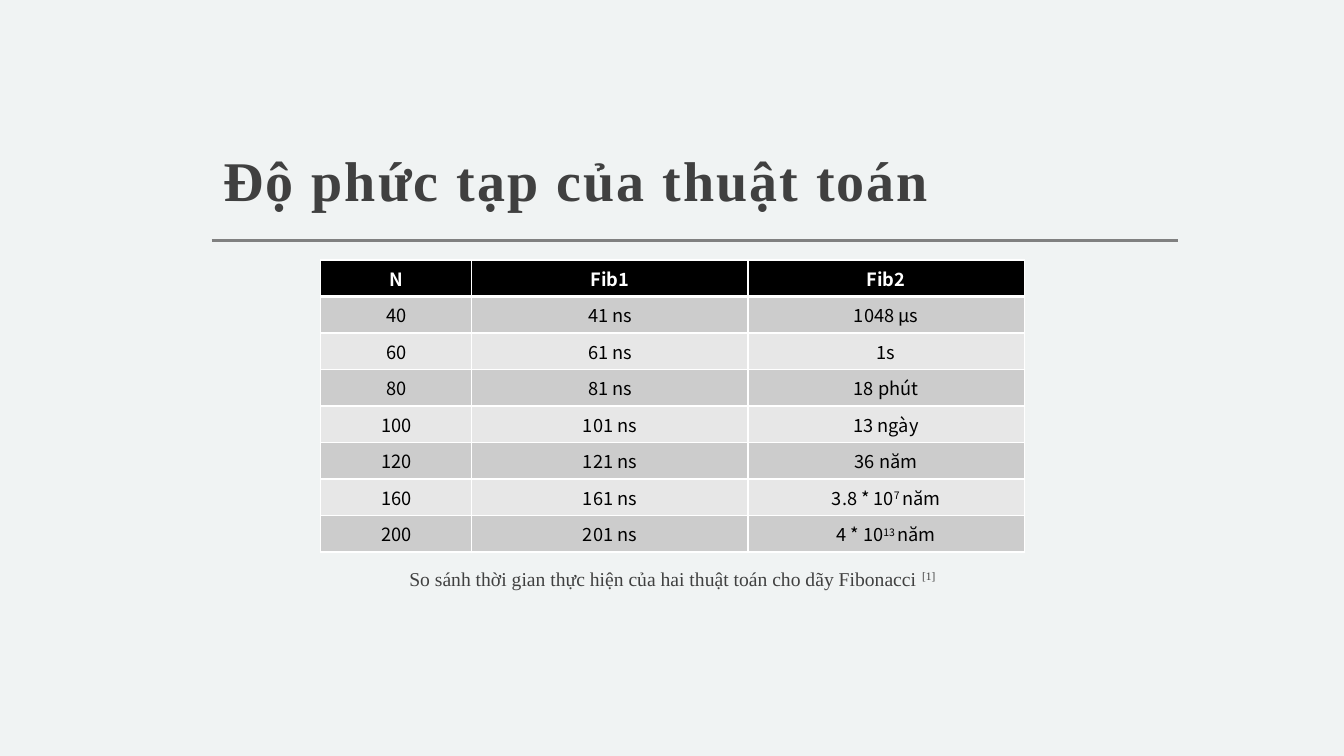
from lxml import etree
from pptx import Presentation, util as u
from pptx.dml.color import RGBColor
from pptx.enum import shapes, text
from pptx.oxml.ns import qn

BACK = RGBColor(0xF0, 0xF3, 0xF3)
INK = RGBColor(0x40, 0x40, 0x40)
RULE = RGBColor(0x80, 0x80, 0x80)
BLACK = RGBColor(0, 0, 0)
WHITE = RGBColor(0xFF, 0xFF, 0xFF)
DARK = RGBColor(0xCC, 0xCC, 0xCC)
LIGHT = RGBColor(0xE7, 0xE7, 0xE7)
SERIF, SANS = "Times New Roman", "Noto Sans CJK JP"
MID = text.PP_ALIGN.CENTER

# Each cell is a list of runs; every second run is raised
ROWS = [
    [["N"], ["Fib1"], ["Fib2"]],
    [["40"], ["41 ns"], ["1048 μs"]],
    [["60"], ["61 ns"], ["1s"]],
    [["80"], ["81 ns"], ["18 phút"]],
    [["100"], ["101 ns"], ["13 ngày"]],
    [["120"], ["121 ns"], ["36 năm"]],
    [["160"], ["161 ns"], ["3.8 * 10", "7 ", "năm"]],
    [["200"], ["201 ns"], ["4 * 10", "13 ", "năm"]],
]


class Deck:
    def __init__(self):
        self.prs = Presentation()
        self.prs.slide_width, self.prs.slide_height = u.Cm(33.87), u.Cm(19.05)
        self.slide = self.prs.slides.add_slide(self.prs.slide_layouts[6])
        fill = self.slide.background.fill
        fill.solid()
        fill.fore_color.rgb = BACK

    def add_runs(self, para, runs, face, size, ink, bold=False, track=0):
        for i, words in enumerate(runs):
            run = para.add_run()
            run.text = words
            font = run.font
            font.name, font.size, font.bold = face, u.Pt(size), bold
            font.color.rgb = ink
            props = run._r.get_or_add_rPr()
            for tag in ("a:ea", "a:cs"):
                etree.SubElement(props, qn(tag), typeface=face)
            if track:
                props.set("spc", str(track))
            if i % 2:
                props.set("baseline", "30000")

    def label(self, x, y, w, h, runs, size, **style):
        box = self.slide.shapes.add_textbox(u.Cm(x), u.Cm(y), u.Cm(w), u.Cm(h))
        frame = box.text_frame
        frame.word_wrap = True
        self.add_runs(frame.paragraphs[0], runs, SERIF, size, INK, **style)
        return frame

    def line(self, x, y, w):
        rule = self.slide.shapes.add_connector(
            shapes.MSO_CONNECTOR.STRAIGHT, u.Cm(x), u.Cm(y), u.Cm(x + w), u.Cm(y))
        rule.line.color.rgb, rule.line.width = RULE, u.Pt(2)
        etree.SubElement(rule._element.spPr, qn("a:effectLst"))

    def edge(self, cell, side, width):
        props = cell._tc.get_or_add_tcPr()
        line = etree.SubElement(props, qn("a:ln" + side), w=str(u.Pt(width)))
        fill = etree.SubElement(line, qn("a:solidFill"))
        etree.SubElement(fill, qn("a:srgbClr"), val=str(WHITE))

    def table(self, x, y, widths, high, rows):
        grid = self.slide.shapes.add_table(
            len(rows), len(widths), u.Cm(x), u.Cm(y),
            u.Cm(sum(widths)), u.Cm(high * len(rows))).table
        for col, wide in zip(grid.columns, widths):
            col.width = u.Cm(wide)
        for r, row in enumerate(rows):
            grid.rows[r].height = u.Cm(high)
            head = r == 0
            for c, runs in enumerate(row):
                cell = grid.cell(r, c)
                cell.margin_left = cell.margin_right = u.Cm(0.18)
                cell.margin_top = cell.margin_bottom = u.Cm(0.09)
                cell.vertical_anchor = text.MSO_ANCHOR.MIDDLE
                # The line under the header is thicker
                for side in "LRTB":
                    thick = (r, side) in ((0, "B"), (1, "T"))
                    self.edge(cell, side, 3 if thick else 1)
                cell.fill.solid()
                cell.fill.fore_color.rgb = BLACK if head else DARK if r % 2 else LIGHT
                para = cell.text_frame.paragraphs[0]
                para.alignment = MID
                self.add_runs(para, runs, SANS, 13, WHITE if head else BLACK, bold=head)


def main():
    deck = Deck()

    # Title and rule
    deck.line(5.33, 6.05, 24.36)
    title = deck.label(5.33, 1.88, 24.36, 3.73, ["Độ phức tạp của thuật toán"],
                       40, bold=True, track=150)
    title.vertical_anchor = text.MSO_ANCHOR.BOTTOM
    title.margin_left = title.margin_right = title.margin_top = u.Cm(0.3)
    title.margin_bottom = u.Cm(0.25)
    title.paragraphs[0].line_spacing = 1.3

    # Timings
    deck.table(8.08, 6.55, [3.81, 6.96, 6.96], 0.92, ROWS)

    # Caption
    note = deck.label(9.53, 14.17, 14.83, 0.86, [
        "So sánh thời gian thực hiện của hai thuật toán cho dãy Fibonacci ", "[1]"], 14)
    note.auto_size = text.MSO_AUTO_SIZE.SHAPE_TO_FIT_TEXT
    note.paragraphs[0].alignment = MID

    deck.prs.save("out.pptx")


if __name__ == "__main__":
    main()
